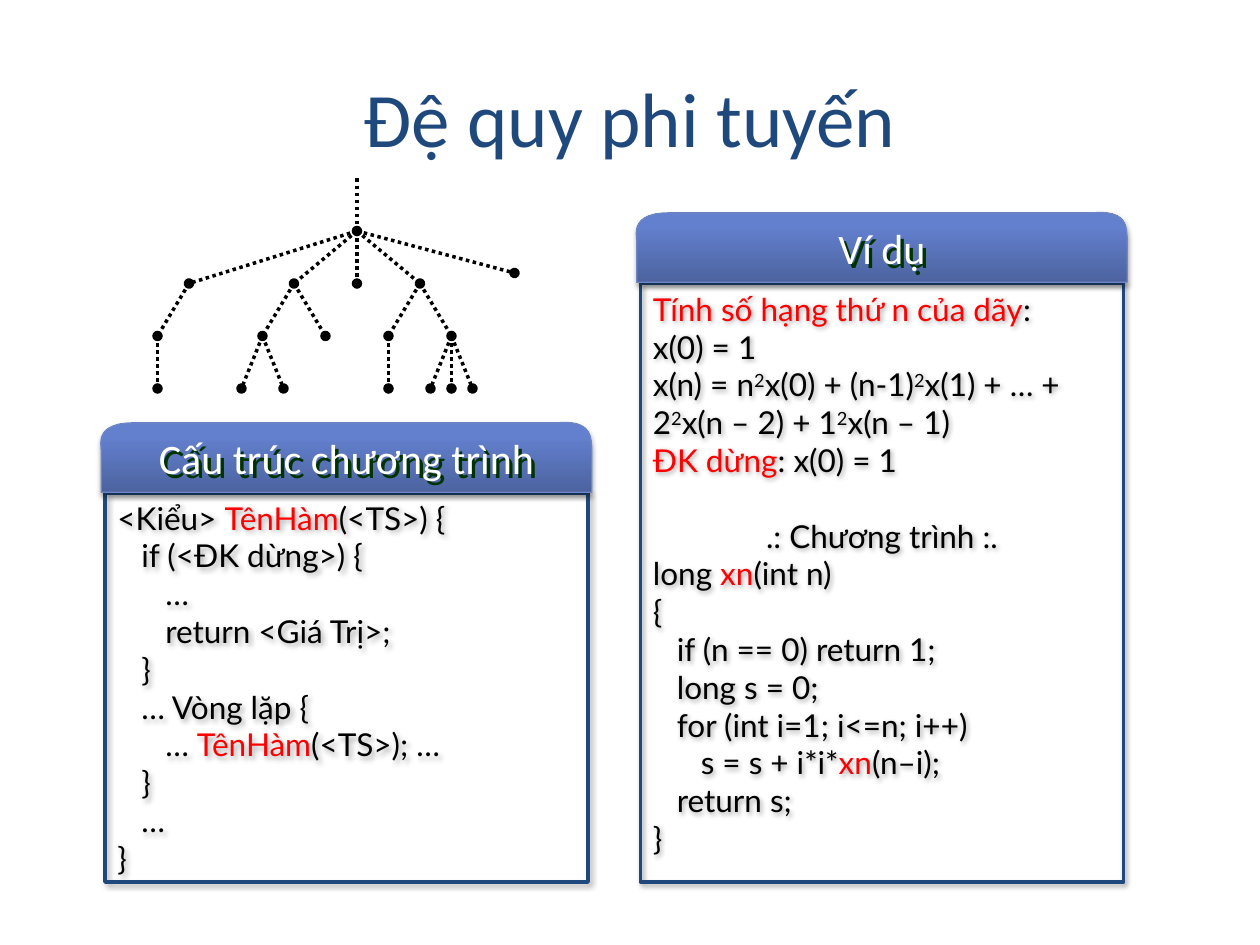
from copy import deepcopy
from dataclasses import dataclass

from pptx import Presentation
from pptx.dml.color import RGBColor
from pptx.enum.dml import MSO_LINE
from pptx.enum.shapes import MSO_CONNECTOR, MSO_SHAPE
from pptx.enum.text import MSO_ANCHOR, PP_ALIGN
from pptx.oxml import parse_xml
from pptx.oxml.ns import nsdecls, qn
from pptx.util import Inches, Pt


@dataclass(frozen=True)
class Theme:
    navy: str = "1F497D"
    black: str = "000000"
    red: str = "FF0000"
    white: str = "FFFFFF"
    header_line: str = "6E86C6"
    header_glow: str = "003300"
    header_stops: tuple = ((0, "4C639F"), (0.8, "6380CE"), (1, "6180D1"))
    heading_font: str = "Calibri"
    body_font: str = "Lato"
    title_size: int = 44
    header_size: int = 24
    body_size: int = 18


THEME = Theme()
CELL = 1 / 12      # grid cell in inches
INDENT = 0.19      # one code level in inches

# Content: a line is (indent level, pieces); a piece is text or (text, style)
TITLE = "Đệ quy phi tuyến"
SQUARE = ("2", "power")
STRUCTURE = [
    (0, ["<Kiểu> ", ("TênHàm", "key"), "(<TS>) {"]),
    (1, ["if (<ĐK dừng>) {"]),
    (2, ["…"]),
    (2, ["return <Giá Trị>;"]),
    (1, ["}"]),
    (1, ["… Vòng lặp {"]),
    (2, ["… ", ("TênHàm", "key"), "(<TS>); …"]),
    (1, ["}"]),
    (1, ["…"]),
    (0, ["}"]),
]
EXAMPLE = [
    (0, [("Tính số hạng thứ n của dãy", "key"), ":"]),
    (0, ["x(0) = 1"]),
    (0, ["x(n) = n", SQUARE, "x(0) + (n-1)", SQUARE, "x(1) + … + 2", SQUARE,
         "x(n – 2) + 1", SQUARE, "x(n – 1)"]),
    (0, [("ĐK dừng", "key"), ": x(0) = 1"]),
    ("caption", [".: Chương trình :."]),
    (0, ["long ", ("xn", "key"), "(int n)"]),
    (0, ["{"]),
    (1, ["if (n == 0) return 1;"]),
    (1, ["long s = 0;"]),
    (1, ["for (int i=1; i<=n; i++)"]),
    (2, ["s = s + i*i*", ("xn", "key"), "(n–i);"]),
    (1, ["return s;"]),
    (0, ["}"]),
]
# Panels: header, lines, left cell, top cell, anchor
PANELS = [
    ("Cấu trúc chương trình", STRUCTURE, 10, 47, MSO_ANCHOR.MIDDLE),
    ("Ví dụ", EXAMPLE, 61, 27, MSO_ANCHOR.TOP),
]
PANEL_COLUMNS, PANEL_BOTTOM = 46, 84

# Call tree: (column, row, children) in grid cells
CALL_TREE = (34, 17, [(34, 22, [
    (18, 27, [(15, 32, [(15, 37, [])])]),
    (28, 27, [(25, 32, [(23, 37, []), (27, 37, [])]), (31, 32, [])]),
    (34, 27, []),
    (40, 27, [(37, 32, [(37, 37, [])]),
              (43, 32, [(41, 37, []), (43, 37, []), (45, 37, [])])]),
    (49, 26, []),
])])


def rgb(value):
    return RGBColor.from_string(value)


def apply(target, formats):
    for attribute, value in formats.items():
        setattr(target, attribute, value)


def style_run(run, font, size, color):
    apply(run.font, {"name": font, "size": Pt(size)})
    run.font.color.rgb = rgb(color)


def add_shadow(shape, color, alpha, blur, distance, angle):
    shape.shadow.inherit = False
    effects = shape._element.spPr.find(qn("a:effectLst"))
    effects.append(parse_xml(
        f'<a:outerShdw {nsdecls("a")} blurRad="{Pt(blur)}" dist="{Pt(distance)}" '
        f'dir="{angle * 60000}" algn="ctr" rotWithShape="0"><a:srgbClr val="{color}">'
        f'<a:alpha val="{alpha * 1000}"/></a:srgbClr></a:outerShdw>'))


def set_line(line, color, width):
    line.color.rgb = rgb(color)
    line.width = Pt(width)


def curve(start, control_1, control_2, end, steps=12):
    """Points along a cubic curve, without its start."""
    return [tuple((1 - t) ** 3 * a + 3 * (1 - t) ** 2 * t * b
                  + 3 * (1 - t) * t ** 2 * c + t ** 3 * d
                  for a, b, c, d in zip(start, control_1, control_2, end))
            for t in (step / steps for step in range(1, steps + 1))]


def write_lines(frame, lines):
    for number, (level, pieces) in enumerate(lines):
        paragraph = frame.paragraphs[0] if number == 0 else frame.add_paragraph()
        paragraph.alignment = PP_ALIGN.LEFT
        if level == "caption":
            apply(paragraph, {"alignment": PP_ALIGN.CENTER,
                              "space_before": Pt(1.2 * THEME.body_size)})
        elif level:
            paragraph._p.get_or_add_pPr().set("marL", str(Inches(level * INDENT)))
        for piece in pieces:
            text, style = (piece, "plain") if isinstance(piece, str) else piece
            run = paragraph.add_run()
            run.text = text
            style_run(run, THEME.body_font, THEME.body_size,
                      THEME.red if style == "key" else THEME.black)
            if style == "power":
                run._r.get_or_add_rPr().set("baseline", "30000")


def add_panel(slide, header, lines, column, row, anchor):
    parts = slide.shapes.add_group_shape().shapes
    left, top, width = column * CELL, row * CELL, PANEL_COLUMNS * CELL

    # Framed body
    body = parts.add_shape(MSO_SHAPE.ROUNDED_RECTANGLE, Inches(left), Inches(top),
                           Inches(width), Inches((PANEL_BOTTOM - row) * CELL))
    body.adjustments[0] = 0
    body.fill.background()
    set_line(body.line, THEME.navy, 2)
    add_shadow(body, THEME.black, 35, 3.1, 1.8, 45)
    apply(body.text_frame, {"word_wrap": True, "vertical_anchor": anchor})
    write_lines(body.text_frame, lines)

    # Header tab with curved top corners
    west, east, base = -0.03, width + 0.03, -0.01
    outline = [(west, base), (east, base), (east, -0.36),
               *curve((east, -0.36), (east - 0.01, -0.44),
                      (east + 0.01, -0.59), (east - 0.29, -0.56)),
               (0.25, -0.56),
               *curve((0.25, -0.56), (-0.08, -0.57), (west, -0.39), (west, -0.35))]
    points = [(Inches(left + x), Inches(top + y)) for x, y in outline]
    builder = parts.build_freeform(*points[0])
    builder.add_line_segments(points[1:], close=True)
    tab = builder.convert_to_shape()
    tab.fill.gradient()
    tab.fill.gradient_angle = 90
    stops = tab._element.spPr.find(".//" + qn("a:gsLst"))
    stops.append(deepcopy(stops[-1]))
    for stop, (position, color) in zip(tab.fill.gradient_stops, THEME.header_stops):
        stop.position = position
        stop.color.rgb = rgb(color)
    set_line(tab.line, THEME.header_line, 0.75)
    add_shadow(tab, THEME.black, 35, 3.1, 1.8, 90)

    # Header text
    label = parts.add_textbox(Inches(left + CELL), Inches(top - 0.53),
                              Inches(width - 2 * CELL), Inches(0.5))
    label.text_frame.word_wrap = True
    paragraph = label.text_frame.paragraphs[0]
    apply(paragraph, {"text": header, "alignment": PP_ALIGN.CENTER})
    style_run(paragraph.runs[0], THEME.heading_font, THEME.header_size, THEME.white)
    add_shadow(label, THEME.header_glow, 100, 0, 2.8, 45)


def add_branches(slide, node):
    column, row, children = node
    for child in children:
        ends = [Inches(cell * CELL) for cell in (column, row, *child[:2])]
        branch = slide.shapes.add_connector(MSO_CONNECTOR.STRAIGHT, *ends)
        set_line(branch.line, THEME.black, 2)
        branch.line.dash_style = MSO_LINE.ROUND_DOT
        branch.line._get_or_add_ln().append(
            parse_xml(f'<a:tailEnd {nsdecls("a")} type="oval"/>'))
        branch._element.spPr.append(parse_xml(f'<a:effectLst {nsdecls("a")}/>'))
        add_branches(slide, child)


def main():
    deck = Presentation()
    apply(deck, {"slide_width": Inches(10), "slide_height": Inches(7.5)})
    slide = deck.slides.add_slide(deck.slide_layouts[5])

    # Title
    title = slide.shapes.title
    apply(title, {"left": Inches(0.5), "top": Inches(0.3),
                  "width": Inches(9), "height": Inches(1.25)})
    title.text_frame.text = TITLE
    title.text_frame.vertical_anchor = MSO_ANCHOR.MIDDLE
    title.text_frame.paragraphs[0].alignment = PP_ALIGN.CENTER
    style_run(title.text_frame.paragraphs[0].runs[0], THEME.heading_font,
              THEME.title_size, THEME.navy)

    # Panels and call tree
    for panel in PANELS:
        add_panel(slide, *panel)
    add_branches(slide, CALL_TREE)
    deck.save("out.pptx")


if __name__ == "__main__":
    main()
